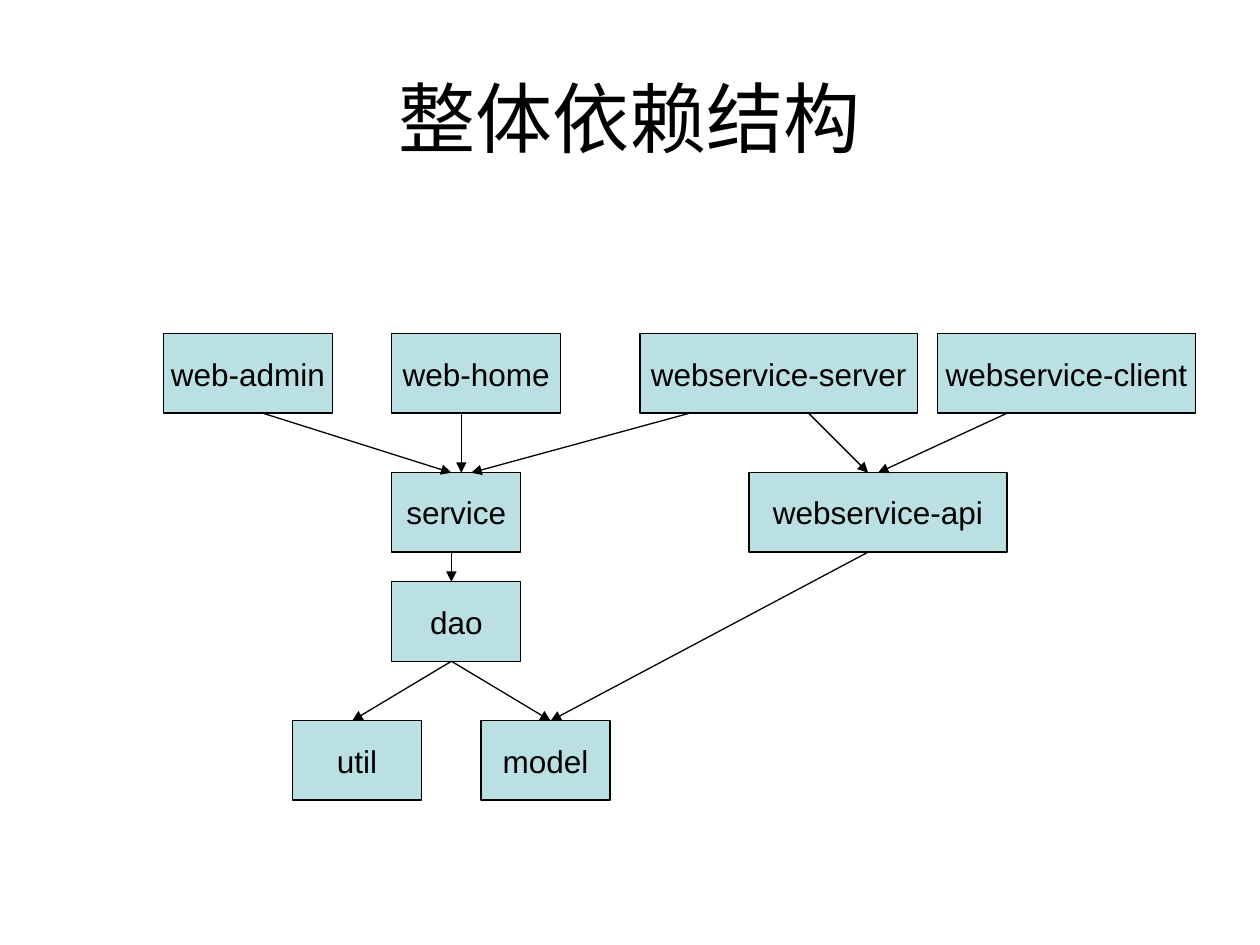
from lxml.etree import SubElement
from pptx import Presentation
from pptx.dml.color import RGBColor
from pptx.enum.shapes import MSO_CONNECTOR, MSO_SHAPE
from pptx.enum.text import MSO_ANCHOR, PP_ALIGN
from pptx.oxml.ns import qn
from pptx.util import Cm, Inches, Pt

BLACK = RGBColor(0x00, 0x00, 0x00)
PALE_TEAL = RGBColor(0xBB, 0xE0, 0xE3)

# Grid of 2 mm cells, starting at the top left module
CELL = Cm(0.2)
GRID_LEFT, GRID_TOP = Cm(3.3), Cm(6.73)
MODULE_ROWS = 8
WEB, SERVICE, DAO, BASE = 0, 14, 25, 39  # first grid row of each layer


def grid_point(column, row):
    return GRID_LEFT + column * CELL, GRID_TOP + row * CELL


def add_centred_run(frame, words, size):
    frame.vertical_anchor = MSO_ANCHOR.MIDDLE
    paragraph = frame.paragraphs[0]
    paragraph.alignment = PP_ALIGN.CENTER
    run = paragraph.add_run()
    run.text = words
    run.font.name = "Arial"
    run.font.size = Pt(size)
    run.font.color.rgb = BLACK


deck = Presentation()
deck.slide_width, deck.slide_height = Inches(10), Inches(7.5)
slide = deck.slides.add_slide(deck.slide_layouts[5])

# Title
title = slide.shapes.title
title.left, title.top = int(deck.slide_width * 0.05), int(deck.slide_height * 0.04)
title.width, title.height = int(deck.slide_width * 0.9), Inches(1.25)
add_centred_run(title.text_frame, "整体依赖结构", 44)

# Modules: first column, layer, columns wide
modules = {
    "model": (32, BASE, 13),
    "util": (13, BASE, 13),
    "dao": (23, DAO, 13),
    "service": (23, SERVICE, 13),
    "web-admin": (0, WEB, 17),
    "web-home": (23, WEB, 17),
    "webservice-server": (48, WEB, 28),
    "webservice-api": (59, SERVICE, 26),
    "webservice-client": (78, WEB, 26),
}
for name, (column, layer, columns) in modules.items():
    module = slide.shapes.add_shape(
        MSO_SHAPE.RECTANGLE, *grid_point(column, layer),
        columns * CELL, MODULE_ROWS * CELL)
    module.shadow.inherit = False
    module.fill.solid()
    module.fill.fore_color.rgb = PALE_TEAL
    module.line.color.rgb = BLACK
    module.line.width = Pt(0.75)
    module.text_frame.word_wrap = False
    add_centred_run(module.text_frame, name, 18)

# Dependencies: from the bottom of one module to the top of another,
# each end with its grid column
dependencies = [
    ("dao", 29, "util", 19),
    ("dao", 29, "model", 39),
    ("service", 29, "dao", 29),
    ("webservice-server", 65, "webservice-api", 71),
    ("webservice-client", 85, "webservice-api", 72),
    ("webservice-server", 53, "service", 31),
    ("web-home", 30, "service", 30),
    ("web-admin", 10, "service", 29),
    ("webservice-api", 71, "model", 39),
]
for user, user_column, used, used_column in dependencies:
    start = grid_point(user_column, modules[user][1] + MODULE_ROWS)
    end = grid_point(used_column, modules[used][1])
    arrow = slide.shapes.add_connector(MSO_CONNECTOR.STRAIGHT, *start, *end)
    arrow.line.color.rgb = BLACK
    arrow.line.width = Pt(0.75)
    SubElement(arrow.line._get_or_add_ln(), qn("a:tailEnd"), type="triangle")
    SubElement(arrow._element.spPr, qn("a:effectLst"))

deck.save("out.pptx")
